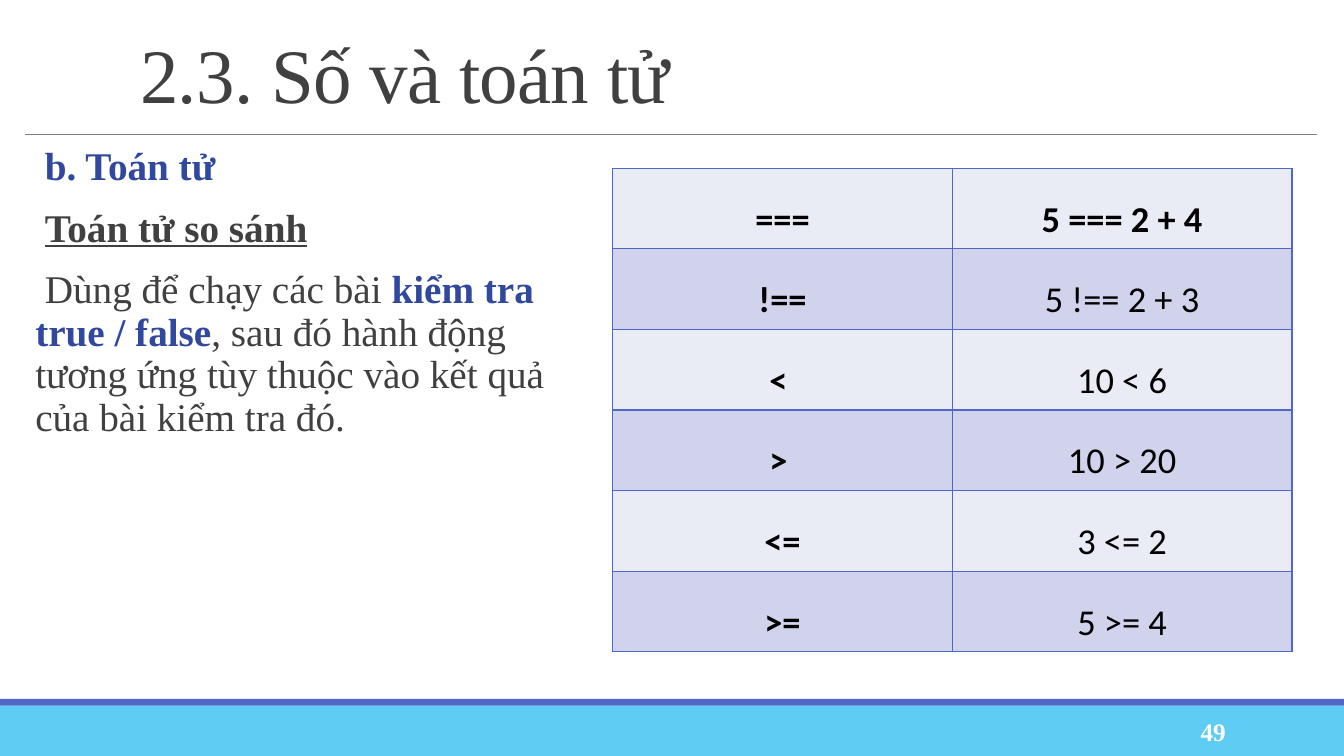
from lxml import etree
from pptx import Presentation
from pptx import util as u
from pptx.dml.color import RGBColor
from pptx.enum import shapes, text
from pptx.oxml.ns import qn

SERIF = "Times New Roman"
DARK, BLUE, NAVY, SKY = "404040", "4E67C8", "31489F", "5ECCF3"
BANDS = "E9EBF5", "D0D3EB"
WIDE, HIGH = 33.87, 19.05
ROWS = [
    ("===", "5 === 2 + 4"),
    ("!==", "5 !== 2 + 3"),
    ("< ", "10 < 6"),
    ("> ", "10 > 20"),
    ("<=", "3 <= 2"),
    (">=", "5 >= 4"),
]
INTRO = [
    [("b. Toán tử", NAVY, True, False)],
    [("Toán tử so sánh", DARK, True, True)],
    [
        ("Dùng để chạy các bài ", DARK, False, False),
        ("kiểm tra true / false", NAVY, True, False),
        (", sau đó hành động tương ứng tùy thuộc vào kết quả của bài kiểm tra đó.",
         DARK, False, False),
    ],
]


def rgb(code):
    return RGBColor.from_string(code)


def cms(*nums):
    return [u.Cm(n) for n in nums]


def style(font, name, size, color, bold=False):
    font.name, font.size, font.bold = name, u.Pt(size), bold
    font.color.rgb = rgb(color)


def frame(slide, box, anchor):
    """Add a wrapping text box and return its text frame."""
    tf = slide.shapes.add_textbox(*cms(*box)).text_frame
    tf.word_wrap = True
    tf.vertical_anchor = anchor
    return tf


def bar(slide, box, color):
    shape = slide.shapes.add_shape(shapes.MSO_SHAPE.RECTANGLE, *cms(*box))
    shape.shadow.inherit = False
    shape.fill.solid()
    shape.fill.fore_color.rgb = rgb(color)
    shape.line.fill.background()


def footer(slide, box, number):
    left, top, width, height = box
    edge = 0.17
    bar(slide, box, SKY)
    bar(slide, (left, top - edge, width, edge), BLUE)
    tf = frame(slide, (left + 27.5, top + 0.15, 3.64, 1.01), text.MSO_ANCHOR.MIDDLE)
    para = tf.paragraphs[0]
    para.text = number
    para.alignment = text.PP_ALIGN.RIGHT
    style(para.font, SERIF, 18, "FFFFFF", True)


def header(slide, box, title):
    """Title with a thin rule along the bottom of the box."""
    left, top, width, height = box
    low = top + height
    rule = slide.shapes.add_connector(
        shapes.MSO_CONNECTOR.STRAIGHT, *cms(left, low, left + width, low))
    rule.line.color.rgb = rgb("808080")
    rule.line.width = u.Pt(0.5)
    etree.SubElement(rule._element.spPr, qn("a:effectLst"))
    inset = 2.64
    tf = frame(slide, (left + inset, top, width - inset, height - 0.15),
               text.MSO_ANCHOR.MIDDLE)
    para = tf.paragraphs[0]
    para.line_spacing = 0.85
    run = para.add_run()
    run.text = title
    style(run.font, SERIF, 55, DARK)
    run.font._element.set("spc", "-50")


def bullet(para):
    """Give the paragraph a blank hanging bullet."""
    props = para._p.get_or_add_pPr()
    hang = u.Cm(0.25)
    props.set("marL", str(hang))
    props.set("indent", str(-hang))
    tint = etree.SubElement(props, qn("a:buClr"))
    etree.SubElement(tint, qn("a:srgbClr"), val=BLUE)
    etree.SubElement(props, qn("a:buChar"), char=" ")


def body(slide, box, paras):
    tf = frame(slide, box, text.MSO_ANCHOR.TOP)
    tf.margin_left = tf.margin_right = 0
    for i, parts in enumerate(paras):
        para = tf.add_paragraph() if i else tf.paragraphs[0]
        para.line_spacing = 0.9
        para.space_after = u.Pt(2)
        if i:
            para.space_before = u.Pt(12)
        bullet(para)
        for words, color, bold, under in parts:
            run = para.add_run()
            run.text = words
            style(run.font, SERIF, 28, color, bold)
            run.font.underline = under


def border(cell):
    props = cell._tc.get_or_add_tcPr()
    for side in "LRTB":
        line = etree.SubElement(props, qn("a:ln" + side), w=str(u.Pt(1)))
        fill = etree.SubElement(line, qn("a:solidFill"))
        etree.SubElement(fill, qn("a:srgbClr"), val=BLUE)


def grid(slide, box, rows):
    table = slide.shapes.add_table(len(rows), len(rows[0]), *cms(*box)).table
    table.first_row = table.horz_banding = False
    for r, row in enumerate(rows):
        for c, words in enumerate(row):
            cell = table.cell(r, c)
            border(cell)
            cell.fill.solid()
            cell.fill.fore_color.rgb = rgb(BANDS[r % 2])
            cell.vertical_anchor = text.MSO_ANCHOR.MIDDLE
            cell.margin_left = cell.margin_right = u.Cm(0.18)
            cell.margin_top = cell.margin_bottom = 0
            para = cell.text_frame.paragraphs[0]
            para.text = words
            para.alignment = text.PP_ALIGN.CENTER
            para.line_spacing = 1.5
            para.space_after = u.Pt(3)
            style(para.font, "Calibri", 26, "000000", c == 0 or r == 0)


def main():
    deck = Presentation()
    deck.slide_width, deck.slide_height = cms(WIDE, HIGH)
    slide = deck.slides.add_slide(deck.slide_layouts[6])
    foot = 1.27
    footer(slide, (0, HIGH - foot, WIDE, foot), "49")
    header(slide, (0.64, 0.79, 32.56, 2.59), "2.3. Số và toán tử")
    body(slide, (0.64, 3.56, 14.35, 13.56), INTRO)
    grid(slide, (15.44, 4.24, 17.12, 12.19), ROWS)
    deck.save("out.pptx")


if __name__ == "__main__":
    main()
